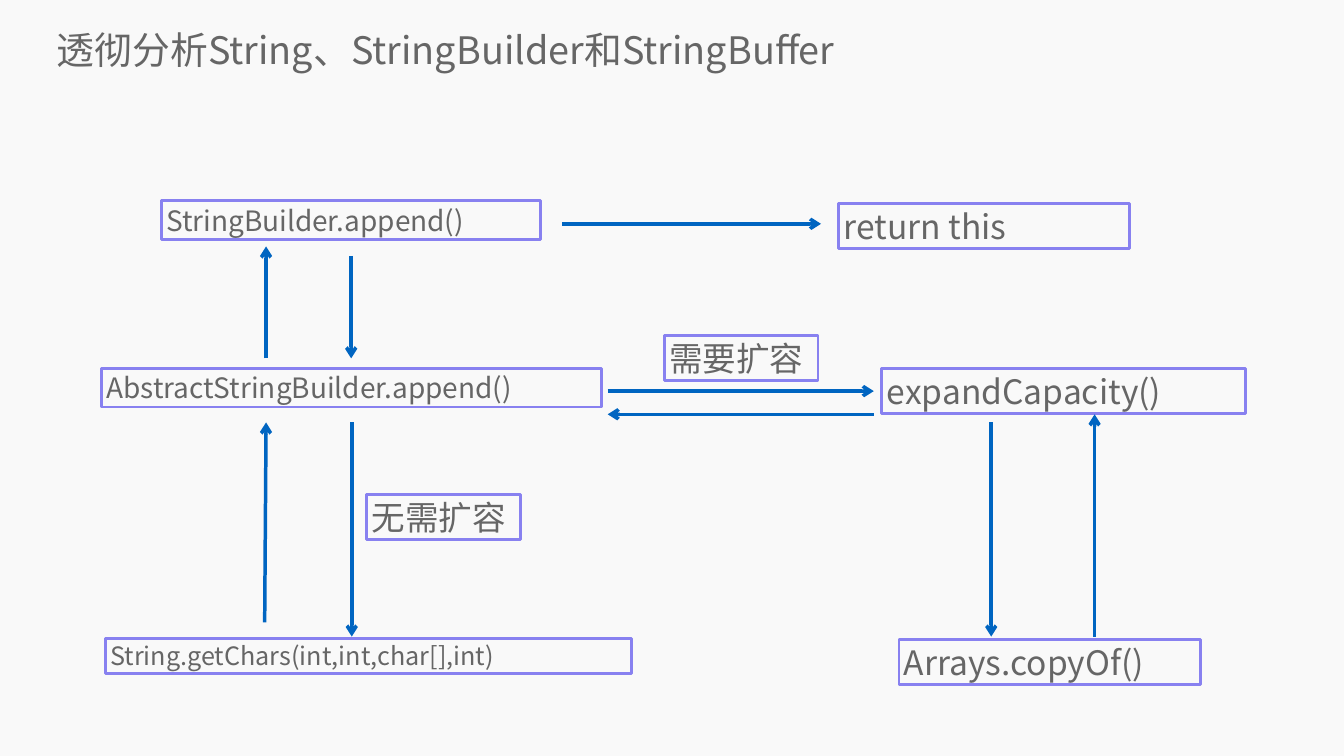
from lxml import etree
from pptx import Presentation
from pptx import util as u
from pptx.dml.color import RGBColor
from pptx.enum import shapes, text
from pptx.oxml import ns

FONT = "Noto Sans CJK SC"
BACKGROUND = RGBColor(0xF9, 0xF9, 0xF9)
GREY = RGBColor(0x66, 0x66, 0x66)
VIOLET = RGBColor(0x88, 0x81, 0xF0)
BLUE = RGBColor(0x00, 0x65, 0xC1)

TITLE = "透彻分析String、StringBuilder和StringBuffer"
TITLE_AREA = {"left": 2.87, "top": 1.19, "width": 63.91, "height": 2.59}

CALLS = [
    ("StringBuilder.append()", 40, 8.13, 10.11, 19.13),
    ("AbstractStringBuilder.append()", 40, 5.11, 18.57, 25.22),
    ("String.getChars(int,int,char[],int)", 36, 5.31, 32.16, 26.52),
    ("无需扩容", 48, 18.49, 24.92, 7.75),
    ("expandCapacity()", 48, 44.45, 18.57, 18.31),
    ("Arrays.copyOf()", 48, 45.31, 32.23, 15.19),
    ("需要扩容", 48, 33.48, 16.89, 7.75),
    ("return this", 48, 42.27, 10.24, 14.66),
]
FLOWS = [
    ((17.7, 12.9), (17.7, 18.06)),
    ((17.73, 21.29), (17.73, 32.08)),
    ((30.63, 19.71), (44.04, 19.71)),
    ((44.04, 20.88), (30.63, 20.88)),
    ((49.96, 21.29), (49.96, 32.08)),
    ((55.17, 32.08), (55.17, 20.88)),
    ((13.34, 31.37), (13.41, 21.29)),
    ((13.41, 18.06), (13.41, 12.42)),
    ((28.35, 11.28), (41.38, 11.28)),
]
LINE_SPACING = 1.2
BOX_PADDING = u.Cm(0.25)


def apply(target, values):
    for name, value in values.items():
        setattr(target, name, value)


def write(frame, words, size, **frame_format):
    apply(frame, {"word_wrap": True, "auto_size": text.MSO_AUTO_SIZE.NONE,
                  "vertical_anchor": text.MSO_ANCHOR.MIDDLE, **frame_format})
    paragraph = frame.paragraphs[0]
    paragraph.alignment = text.PP_ALIGN.LEFT
    run = paragraph.add_run()
    run.text = words
    apply(run.font, {"name": FONT, "size": u.Pt(size), "bold": False})
    run.font.color.rgb = GREY
    etree.SubElement(run.font._element, ns.qn("a:ea"), typeface=FONT)


def add_call(slide, words, size, left, top, width):
    height = u.Pt(size * LINE_SPACING) + BOX_PADDING
    call = slide.shapes.add_shape(shapes.MSO_SHAPE.RECTANGLE,
                                  u.Cm(left), u.Cm(top), u.Cm(width), height)
    call.shadow.inherit = False
    call.fill.background()
    call.line.color.rgb = VIOLET
    call.line.width = u.Pt(4)
    write(call.text_frame, words, size)


def add_flow(slide, start, end):
    flow = slide.shapes.add_connector(shapes.MSO_CONNECTOR.STRAIGHT,
                                      *map(u.Cm, start + end))
    flow.line.color.rgb = BLUE
    flow.line.width = u.Pt(5)
    etree.SubElement(flow.line._get_or_add_ln(), ns.qn("a:tailEnd"), type="arrow")
    etree.SubElement(flow._element.spPr, ns.qn("a:effectLst"))


def main():
    deck = Presentation()
    apply(deck, {"slide_width": u.Cm(67.74), "slide_height": u.Cm(38.1)})
    slide = deck.slides.add_slide(deck.slide_layouts[0])
    slide.background.fill.solid()
    slide.background.fill.fore_color.rgb = BACKGROUND

    subtitle = slide.placeholders[1].element
    subtitle.getparent().remove(subtitle)
    heading = slide.shapes.title
    apply(heading, {side: u.Cm(value) for side, value in TITLE_AREA.items()})
    write(heading.text_frame, TITLE, 54, margin_left=0, margin_top=0,
          margin_right=0, margin_bottom=0)

    for call in CALLS:
        add_call(slide, *call)
    for flow in FLOWS:
        add_flow(slide, *flow)
    deck.save("out.pptx")


if __name__ == "__main__":
    main()
